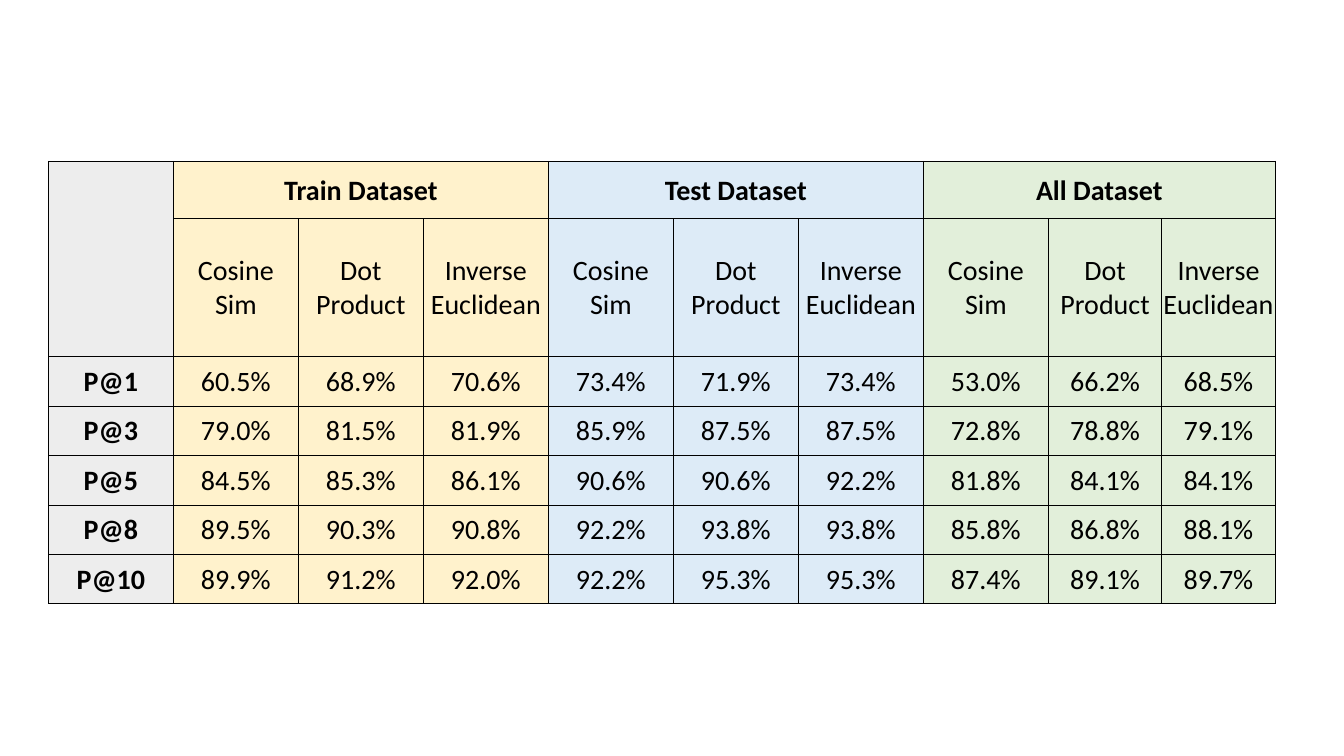
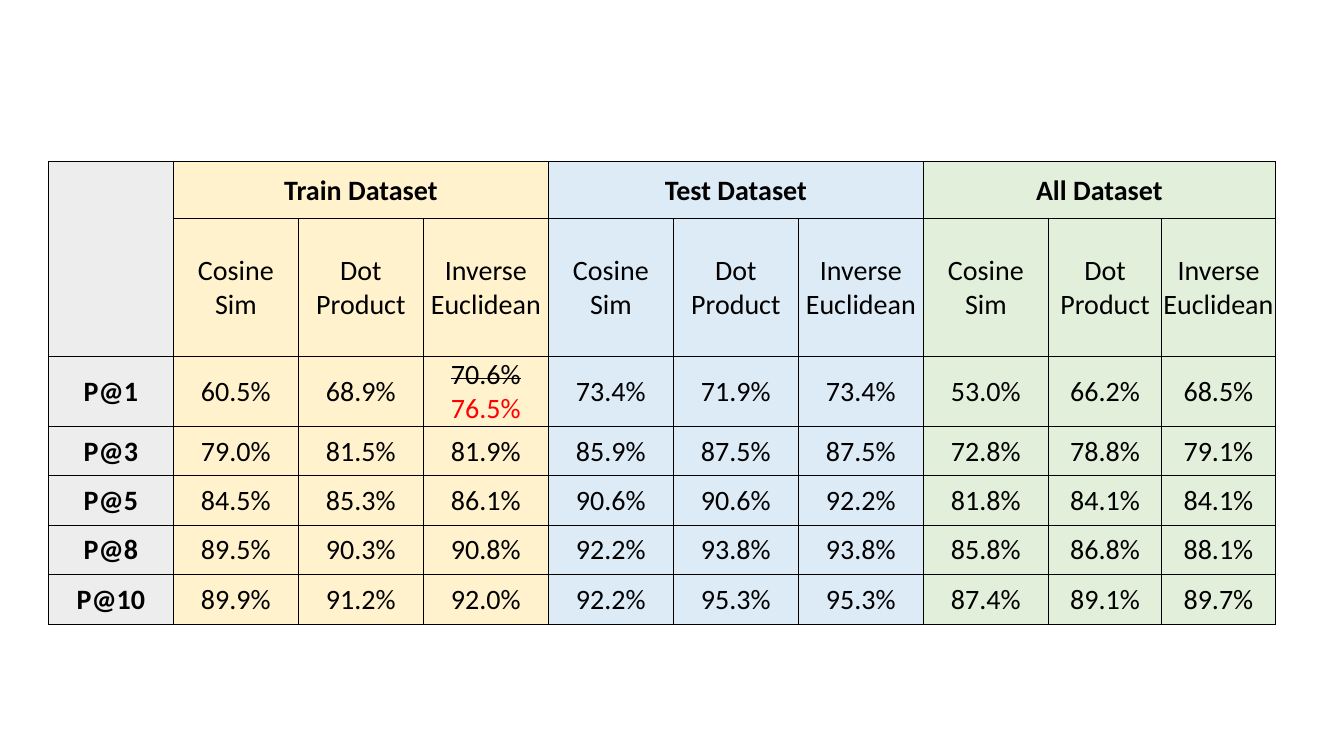
"""Build two slides that tabulate precision at k for three datasets."""
from dataclasses import dataclass

from lxml import etree
from pptx import Presentation, util as u
from pptx.dml.color import RGBColor
from pptx.enum import text
from pptx.oxml.ns import qn


@dataclass(frozen=True)
class Theme:
    """Colours, type and line sizes shared by the slides."""
    font: str = "Calibri"
    size: int = 20
    ink: str = "000000"
    revised: str = "FF0000"
    label_fill: str = "EDEDED"
    border_width: float = 0.5
    inset: float = 0.01


THEME = Theme()
SLIDE_WIDTH, SLIDE_HEIGHT = 13.33, 7.5
LEFT, TOP, TABLE_WIDTH = 0.48, 1.6, 12.17
WIDE, WIDE_COUNT, NARROW_COUNT = 1.24, 8, 2
HEADING_ROWS, DATA_ROW = [0.57, 1.37], 0.49

DATASETS = [("Train Dataset", "FFF2CC"), ("Test Dataset", "DDEBF7"), ("All Dataset", "E2EFDA")]
MEASURES = ["Cosine Sim", "Dot Product", "Inverse Euclidean"]
PRECISION = {
    "P@1": [60.5, 68.9, 70.6, 73.4, 71.9, 73.4, 53.0, 66.2, 68.5],
    "P@3": [79.0, 81.5, 81.9, 85.9, 87.5, 87.5, 72.8, 78.8, 79.1],
    "P@5": [84.5, 85.3, 86.1, 90.6, 90.6, 92.2, 81.8, 84.1, 84.1],
    "P@8": [89.5, 90.3, 90.8, 92.2, 93.8, 93.8, 85.8, 86.8, 88.1],
    "P@10": [89.9, 91.2, 92.0, 92.2, 95.3, 95.3, 87.4, 89.1, 89.7],
}
REVISIONS = {("P@1", 2): 76.5}


def style_cell(cell, fill):
    """Give a cell its borders, fill, insets and vertical centring."""
    properties = cell._tc.get_or_add_tcPr()
    for side in ("lnL", "lnR", "lnT", "lnB"):
        line = etree.SubElement(properties, qn(f"a:{side}"), w=str(u.Pt(THEME.border_width)))
        solid = etree.SubElement(line, qn("a:solidFill"))
        etree.SubElement(solid, qn("a:srgbClr"), val=THEME.ink)
    cell.fill.solid()
    cell.fill.fore_color.rgb = RGBColor.from_string(fill)
    cell.margin_left = cell.margin_right = cell.margin_top = u.Inches(THEME.inset)
    cell.margin_bottom = 0
    cell.vertical_anchor = text.MSO_ANCHOR.MIDDLE


def add_span(para, words, bold=False, color=THEME.ink, struck=False):
    """Add one centred run in the shared type style."""
    para.alignment = text.PP_ALIGN.CENTER
    span = para.add_run()
    span.text = words
    span.font.name = THEME.font
    span.font.size = u.Pt(THEME.size)
    span.font.bold = bold
    span.font.color.rgb = RGBColor.from_string(color)
    if struck:
        span._r.get_or_add_rPr().set("strike", "sngStrike")


def write_cell(cell, words, bold=False):
    """Write one line of plain text in a cell."""
    add_span(cell.text_frame.paragraphs[0], words, bold)


def write_value(cell, value, revision=None):
    """Write a percentage, struck out above its revision if there is one."""
    frame = cell.text_frame
    add_span(frame.paragraphs[0], f"{value:.1f}%", struck=revision is not None)
    if revision is not None:
        add_span(frame.add_paragraph(), f"{revision:.1f}%", color=THEME.revised)


def add_grid(page):
    """Add the empty table with its column widths, row heights and fills."""
    narrow = (TABLE_WIDTH - WIDE * WIDE_COUNT) / NARROW_COUNT
    widths = [WIDE] * WIDE_COUNT + [narrow] * NARROW_COUNT
    heights = HEADING_ROWS + [DATA_ROW] * len(PRECISION)
    table = page.shapes.add_table(
        len(heights), len(widths), u.Inches(LEFT), u.Inches(TOP),
        u.Inches(TABLE_WIDTH), u.Inches(sum(heights))).table
    table.first_row = table.horz_banding = False
    for column, width in zip(table.columns, widths):
        column.width = u.Inches(width)
    fills = [THEME.label_fill] + [fill for _, fill in DATASETS for _ in MEASURES]
    for row, height in zip(table.rows, heights):
        row.height = u.Inches(height)
        for cell, fill in zip(row.cells, fills):
            style_cell(cell, fill)
    return table


def add_headings(table):
    """Merge and write the dataset headings and the measures below them."""
    table.cell(0, 0).merge(table.cell(1, 0))
    for group, (dataset, _) in enumerate(DATASETS):
        first = 1 + group * len(MEASURES)
        heading = table.cell(0, first)
        heading.merge(table.cell(0, first + len(MEASURES) - 1))
        write_cell(heading, dataset, bold=True)
        for offset, measure in enumerate(MEASURES):
            write_cell(table.cell(1, first + offset), measure)


def add_precision_slide(deck, revisions):
    """Add a slide with the precision table and any revised values."""
    page = deck.slides.add_slide(deck.slide_layouts.get_by_name("Blank"))
    table = add_grid(page)
    add_headings(table)
    for row, (label, values) in enumerate(PRECISION.items(), len(HEADING_ROWS)):
        write_cell(table.cell(row, 0), label, bold=True)
        for index, value in enumerate(values):
            write_value(table.cell(row, index + 1), value, revisions.get((label, index)))


def main():
    """Build and save the deck."""
    deck = Presentation()
    deck.slide_width, deck.slide_height = u.Inches(SLIDE_WIDTH), u.Inches(SLIDE_HEIGHT)
    for revisions in ({}, REVISIONS):
        add_precision_slide(deck, revisions)
    deck.save("out.pptx")


main()
